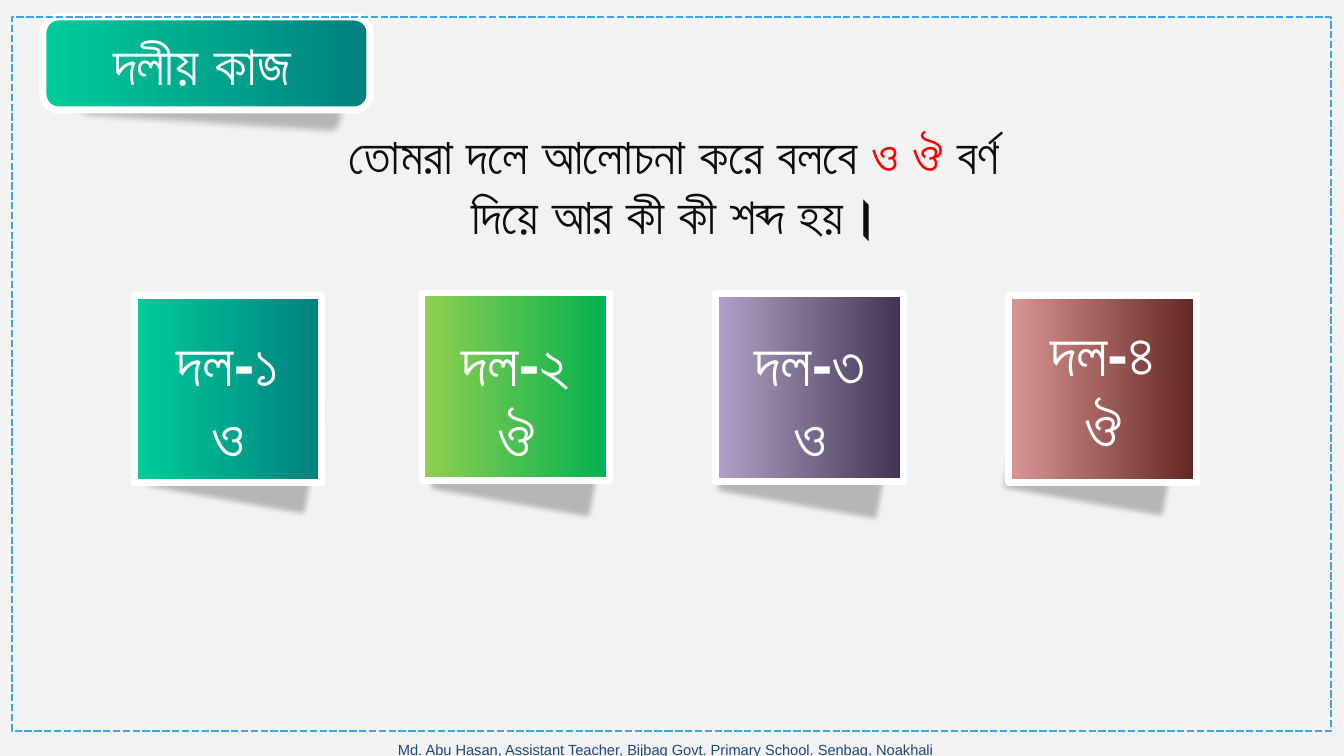
from lxml.etree import SubElement
from pptx import Presentation
from pptx.dml.color import RGBColor
from pptx.enum.dml import MSO_LINE_DASH_STYLE as Dash
from pptx.enum.shapes import MSO_SHAPE as Shape
from pptx.enum.text import PP_ALIGN as Align
from pptx.oxml.ns import qn
from pptx.util import Pt

EMU_PER_PX = 914400 / 100.8
COLORS = {
    "background": "F2F2F2", "white": "FFFFFF", "shadow": "000000",
    "border": "3CA5E5", "ink": "0D0D0D", "red": "FF0000", "navy": "1F497D",
    "teal": "00CC99", "dark teal": "008080",
    "lime": "92D050", "green": "00B050",
    "lilac": "B3A2C7", "purple": "403152",
    "rose": "D99694", "maroon": "632523",
}
GROUPS = [
    ((134, 295), (10, 84), 25, ("teal", "dark teal"), "দল-১", "ও"),
    ((422, 293), (7, 89), 27, ("lime", "green"), "দল-২", "ঔ"),
    ((716, 294), (0, 90), 26, ("lilac", "purple"), "দল-৩", "ও"),
    ((1009, 295), (-7, 86), 15, ("rose", "maroon"), "দল-৪", "ঔ"),
]


def px(length):
    return round(length * EMU_PER_PX)


def rgb(name):
    return RGBColor.from_string(COLORS[name])


def add_text(shapes, box, paragraphs, size, bold=None, wrap=True):
    frame = shapes.add_textbox(*map(px, box)).text_frame
    frame.word_wrap = wrap
    for index, runs in enumerate(paragraphs):
        paragraph = frame.paragraphs[0] if index == 0 else frame.add_paragraph()
        paragraph.alignment = Align.CENTER
        for text, color in runs:
            run = paragraph.add_run()
            run.text = text
            font_format = {"name": "Arial", "size": Pt(size), "bold": bold}
            for attribute, value in font_format.items():
                setattr(run.font, attribute, value)
            run.font.color.rgb = rgb(color)


def add_plain_shape(shapes, kind, box):
    shape = shapes.add_shape(kind, *map(px, box))
    shape.shadow.inherit = False
    return shape


def add_soft_shadow(shapes, kind, box, rotation):
    shape = add_plain_shape(shapes, kind, box)
    shape.rotation = rotation
    shape.line.fill.background()
    shape.fill.solid()
    shape.fill.fore_color.rgb = rgb("shadow")
    properties = shape._element.spPr
    color = properties.find(".//" + qn("a:srgbClr"))
    SubElement(color, qn("a:alpha"), val="25000")
    effects = properties.find(qn("a:effectLst"))
    SubElement(effects, qn("a:softEdge"), rad="63500")


def add_gradient_card(shapes, kind, box, gradient):
    shape = add_plain_shape(shapes, kind, box)
    shape.fill.gradient()
    shape.fill.gradient_angle = 0
    for stop, color in zip(shape.fill.gradient_stops, gradient):
        stop.color.rgb = rgb(color)
    shape.line.color.rgb = rgb("white")
    shape.line.width = Pt(5)


def add_title(slide, box):
    left, top, width, height = box
    shapes = slide.shapes.add_group_shape().shapes
    add_soft_shadow(shapes, Shape.ROUNDED_RECTANGLE,
                    (left + 30, top + 41, width - 52, height - 21), 3.7)
    add_gradient_card(shapes, Shape.ROUNDED_RECTANGLE, box, ("teal", "dark teal"))
    add_text(shapes, (left + 12, top + 8, width - 33, height - 15),
             [[("দলীয় কাজ", "white")]], 40, True)


def add_border(slide, box):
    border = add_plain_shape(slide.shapes, Shape.RECTANGLE, box)
    border.fill.background()
    border.line.color.rgb = rgb("border")
    line_format = {"width": Pt(1.75), "dash_style": Dash.SQUARE_DOT}
    for attribute, value in line_format.items():
        setattr(border.line, attribute, value)


def add_group_card(slide, box, shadow_offset, label_offset, gradient, lines):
    left, top, width, height = box
    shadow_left, shadow_top = shadow_offset
    shapes = slide.shapes.add_group_shape().shapes
    add_soft_shadow(shapes, Shape.RECTANGLE,
                    (left + shadow_left, top + shadow_top, 181, 132), 10.1)
    add_gradient_card(shapes, Shape.RECTANGLE, box, gradient)
    add_text(shapes, (left + 22, top + label_offset, width - 44, 159),
             [[(line, "white")] for line in lines], 44, True, False)


def main():
    presentation = Presentation()
    presentation.slide_width = px(1344)
    presentation.slide_height = px(756)
    slide = presentation.slides.add_slide(presentation.slide_layouts[6])
    slide.background.fill.solid()
    slide.background.fill.fore_color.rgb = rgb("background")

    footer = "Md. Abu Hasan, Assistant Teacher, Bijbag Govt. Primary School. Senbag, Noakhali"
    add_text(slide.shapes, (353, 736, 626, 28), [[(footer, "navy")]], 10.5)
    task = [("তোমরা দলে আলোচনা করে বলবে", "ink"), (" ও ঔ ", "red"),
            ("বর্ণ দিয়ে আর কী কী শব্দ হয়।", "ink")]
    add_text(slide.shapes, (338, 119, 672, 132), [task], 36, True)
    add_title(slide, (43, 17, 327, 93))
    add_border(slide, (12, 17, 1319, 714))
    for corner, shadow_offset, label_offset, gradient, *lines in GROUPS:
        add_group_card(slide, (*corner, 188, 188), shadow_offset, label_offset,
                       gradient, lines)
    presentation.save("out.pptx")


if __name__ == "__main__":
    main()
